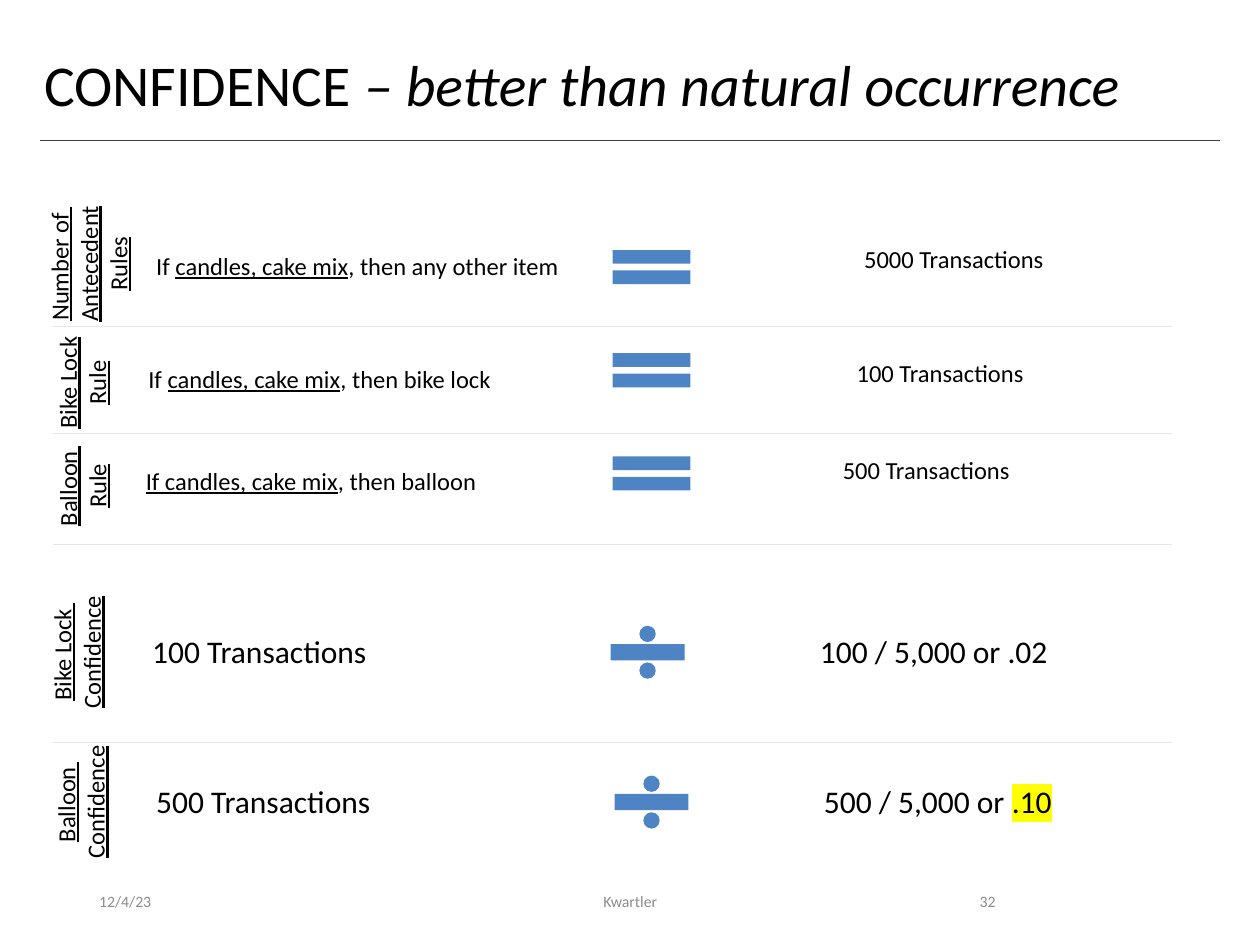
from lxml import etree
from pptx import Presentation
from pptx.dml.color import RGBColor
from pptx.enum.shapes import MSO_CONNECTOR, MSO_SHAPE
from pptx.enum.text import MSO_ANCHOR, MSO_AUTO_SIZE, PP_ALIGN
from pptx.oxml.ns import qn
from pptx.util import Cm, Pt

STRAIGHT = MSO_CONNECTOR.STRAIGHT
EQUAL, DIVIDE = MSO_SHAPE.MATH_EQUAL, MSO_SHAPE.MATH_DIVIDE
LEFT, CENTER, RIGHT = PP_ALIGN.LEFT, PP_ALIGN.CENTER, PP_ALIGN.RIGHT
TOP, MIDDLE = MSO_ANCHOR.TOP, MSO_ANCHOR.MIDDLE
FIT, FIXED = MSO_AUTO_SIZE.SHAPE_TO_FIT_TEXT, MSO_AUTO_SIZE.NONE

COLORS = {
    "text": "000000",
    "footer": "8C8C8C",
    "title_rule": "404040",
    "separator": "E7E6E6",
    "sign": "4E84C4",
    "highlight": "FFFF00",
}


class SlideBuilder:
    def __init__(self, slide, font="Calibri"):
        self.slide = slide
        self.font = font

    def color(self, name):
        return RGBColor.from_string(COLORS[name])

    def run(self, p, text, size, color, style=""):
        """Style letters: u underline, i italic, h highlight."""
        r = p.add_run()
        r.text = text
        r.font.size = Pt(size)
        r.font.name = self.font
        r.font.underline = "u" in style
        r.font.italic = "i" in style
        r.font.color.rgb = self.color(color)
        if "h" in style:
            mark = etree.Element(qn("a:highlight"))
            etree.SubElement(mark, qn("a:srgbClr"), val=COLORS["highlight"])
            r.font._element.find(qn("a:solidFill")).addnext(mark)

    def text(self, box, paragraphs, size=14, color="text", align=LEFT,
             anchor=TOP, wrap=False, spacing=None):
        """Each paragraph is a list of (text, style) runs."""
        s = self.slide.shapes.add_textbox(*map(Cm, box))
        tf = s.text_frame
        tf.word_wrap = wrap
        tf.auto_size = FIXED if wrap else FIT
        tf.vertical_anchor = anchor
        for i, runs in enumerate(paragraphs):
            p = tf.add_paragraph() if i else tf.paragraphs[0]
            p.alignment = align
            p.line_spacing = spacing
            for text, style in runs:
                self.run(p, text, size, color, style)
        return s

    def row_label(self, box, lines):
        s = self.text(box, [[(line, "u")] for line in lines], align=CENTER)
        s.rotation = 270

    def footer(self, left, width, text, align):
        self.text((left, 17.65, width, 1.02), [[(text, "")]], 9, "footer",
                  align, MIDDLE, wrap=True)

    def line(self, left, right, y, color):
        s = self.slide.shapes.add_connector(STRAIGHT, Cm(left), Cm(y), Cm(right), Cm(y))
        s.line.color.rgb = self.color(color)
        s.line.width = Pt(0.5)
        etree.SubElement(s._element.spPr, qn("a:effectLst"))

    def sign(self, kind, box):
        s = self.slide.shapes.add_shape(kind, *map(Cm, box))
        s.shadow.inherit = False
        s.fill.solid()
        s.fill.fore_color.rgb = self.color("sign")
        s.line.fill.background()


def main():
    prs = Presentation()
    prs.slide_width, prs.slide_height = Cm(25.4), Cm(19.05)
    b = SlideBuilder(prs.slides.add_slide(prs.slide_layouts[6]))

    b.line(0.81, 24.59, 2.84, "title_rule")
    b.text((0.64, 1.02, 24.16, 1.65),
           [[("CONFIDENCE ", ""), ("– better than natural occurrence", "i")]],
           33, wrap=True, spacing=0.9)

    items = [("If ", ""), ("candles, cake mix", "u")]
    rules = [
        ((0.36, 4.29, 2.87, 2.06), ["Number of ", "Antecedent", "Rules"],
         (2.9, 4.93, 8.69, 0.86), items + [(", then any other item", "")],
         (17.17, 4.8, 4.17, 0.86), "5000 Transactions"),
        ((0.46, 6.99, 2.39, 1.45), ["Bike Lock", "Rule"],
         (2.74, 7.21, 7.47, 0.86), items + [(", then bike lock", "")],
         (17.02, 7.09, 3.91, 0.86), "100 Transactions"),
        ((0.58, 9.07, 2.16, 1.45), ["Balloon ", "Rule"],
         (2.69, 9.27, 7.24, 0.86),
         [("If candles, cake mix", "u"), (", then balloon", "")],
         (16.74, 9.04, 3.91, 0.86), "500 Transactions"),
    ]
    for i, (label_box, label, rule_box, rule, count_box, count) in enumerate(rules):
        b.row_label(label_box, label)
        b.text(rule_box, [rule])
        b.sign(EQUAL, (12.07, 4.8 + 2.08 * i, 2.13, 1.17))
        b.text(count_box, [[(count, "")]])

    for y in (6.58, 8.74, 10.97, 14.96):
        b.line(1.07, 23.62, y, "separator")

    confidences = [
        ("Bike Lock ", "100 Transactions", [("100 / 5,000 or .02", "")]),
        ("Balloon ", "500 Transactions", [("500 / 5,000 or ", ""), (".10", "h")]),
    ]
    for i, (product, count, result) in enumerate(confidences):
        dx, dy = 0.08 * i, 3.02 * i
        b.row_label((0.15 + dx, 12.42 + dy, 2.79, 1.45), [product, "Confidence"])
        b.text((2.82 + dx, 12.62 + dy, 4.88, 1.02), [[(count, "")]], 18)
        b.sign(DIVIDE, (12.04 + dx, 12.45 + dy, 2.03, 1.4))
        b.text((16.28 + dx, 12.62 + dy, 5.16, 1.02), [result], 18)

    b.footer(1.75, 5.72, "12/4/23", LEFT)
    b.footer(8.41, 8.59, "Kwartler", CENTER)
    b.footer(17.93, 2.39, "32", RIGHT)

    prs.save("out.pptx")


if __name__ == "__main__":
    main()
